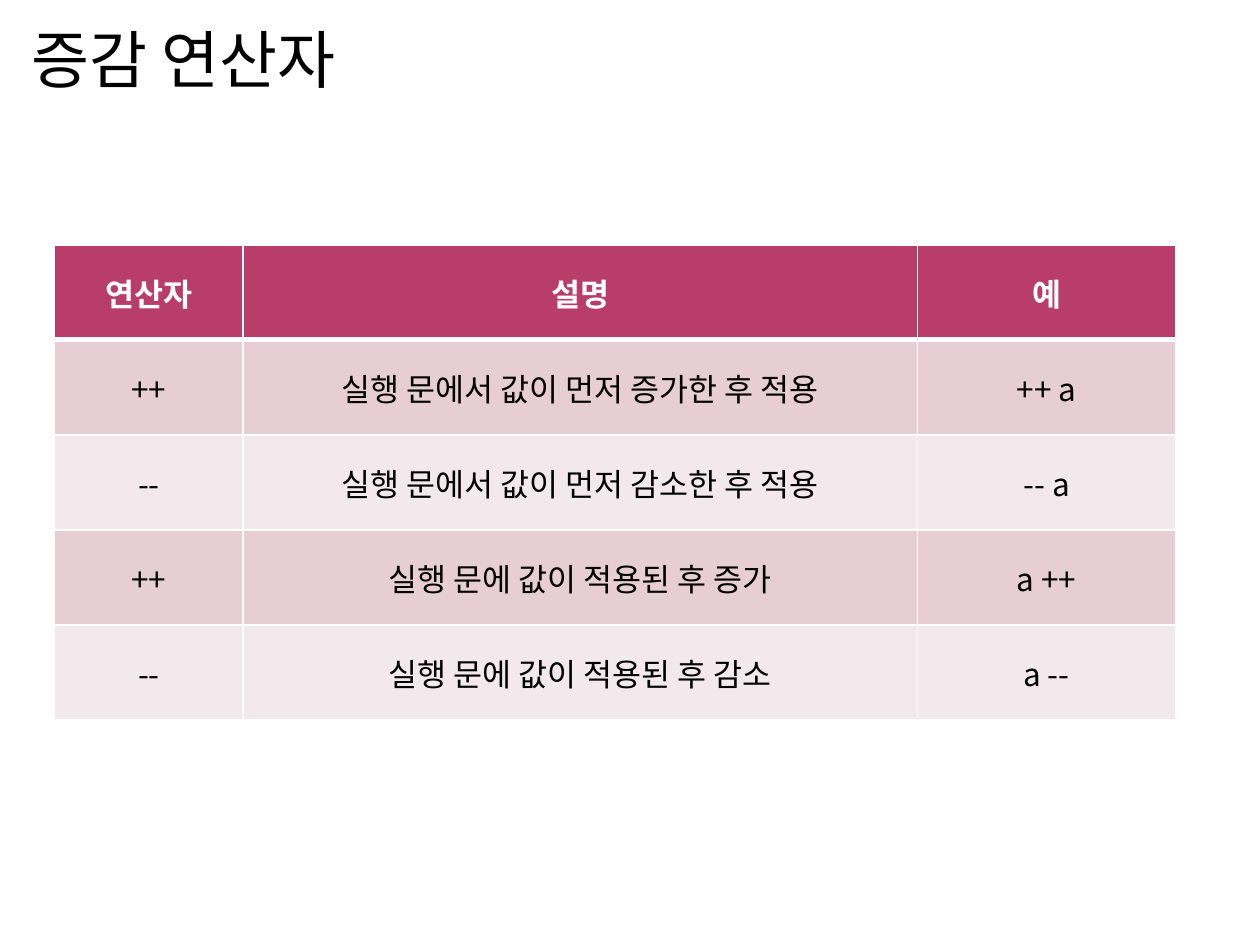
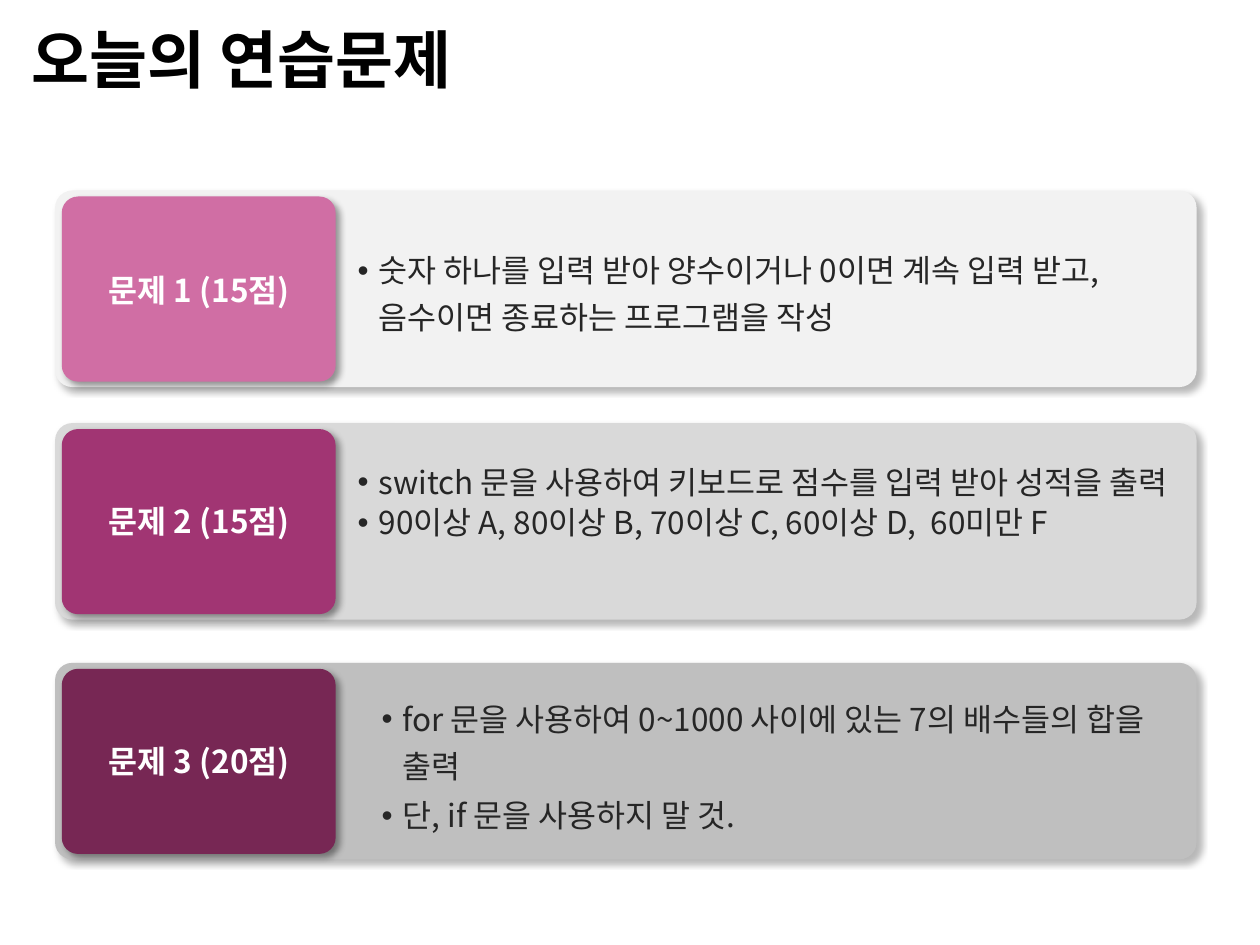
from lxml import etree
from pptx import Presentation
from pptx.dml.color import RGBColor
from pptx.enum.shapes import MSO_SHAPE
from pptx.enum.text import MSO_ANCHOR, MSO_AUTO_SIZE, PP_ALIGN
from pptx.oxml.ns import qn
from pptx.util import Pt

ROUNDED = MSO_SHAPE.ROUNDED_RECTANGLE
MIDDLE = MSO_ANCHOR.MIDDLE
LEFT, CENTER = PP_ALIGN.LEFT, PP_ALIGN.CENTER
NO_FIT, GROW = MSO_AUTO_SIZE.NONE, MSO_AUTO_SIZE.SHAPE_TO_FIT_TEXT
HANGUL, LATIN = "Noto Sans CJK KR", "Cabin"
BLACK, WHITE, INK = "000000", "FFFFFF", "262626"
HEADER_FILL, BAND_FILLS = "B83D68", ("E6CED4", "F3E8EB")

OPERATOR_TITLE = "증감 연산자"
OPERATOR_ROWS = [
    ("연산자", "설명", "예"),
    ("++", "실행 문에서 값이 먼저 증가한 후 적용", "++ a"),
    ("--", "실행 문에서 값이 먼저 감소한 후 적용", "-- a"),
    ("++", "실행 문에 값이 적용된 후 증가", "a ++"),
    ("--", "실행 문에 값이 적용된 후 감소", "a --"),
]
TABLE_LEFT, TABLE_TOP, ROW_HEIGHT = 31.2, 139.9, 54.3
COLUMN_WIDTHS = (107.8, 385.2, 147.6)

EXERCISE_TITLE = "오늘의 연습문제"
# Each task line is its text and its exact line spacing in points.
EXERCISES = [
    dict(top=108.9, card="F2F2F2", tab="D06EA4", label="문제 1 (15점)", label_top=151.2,
         task_box=(197.3, 134.6, 465.8, 58.3),
         tasks=[("숫자 하나를 입력 받아 양수이거나 0이면 계속 입력 받고, "
                 "음수이면 종료하는 프로그램을 작성", 27)]),
    dict(top=241.8, card="D9D9D9", tab="A13573", label="문제 2 (15점)", label_top=283,
         task_box=(197.3, 255.6, 479.5, 85),
         tasks=[("switch 문을 사용하여 키보드로 점수를 입력 받아 성적을 출력", 27),
                ("90이상 A, 80이상 B, 70이상 C, 60이상 D,  60미만 F", 22)]),
    dict(top=378.8, card="BFBFBF", tab="772754", label="문제 3 (20점)", label_top=419.8,
         task_box=(211, 391, 465.8, 90),
         tasks=[("for 문을 사용하여 0~1000 사이에 있는 7의 배수들의 합을 출력", 27),
                ("단, if 문을 사용하지 말 것.", 27)]),
]
CARD_LEFT, CARD_WIDTH, CARD_HEIGHT = 31.5, 652.3, 112.3
TAB_LEFT, TAB_WIDTH, TAB_HEIGHT, TAB_INSET = 35.3, 156.5, 105.8, 3.4
LABEL_LEFT, LABEL_WIDTH, LABEL_HEIGHT = 49, 129.6, 29


def color(value):
    return RGBColor.from_string(value)


def points(*lengths):
    return [Pt(length) for length in lengths]


def add_xml(parent, tag, **attributes):
    return etree.SubElement(parent, qn(tag), attributes)


def add_color(parent, value):
    return add_xml(parent, "a:srgbClr", val=value)


def add_span(para, text, size, ink, font=HANGUL, bold=False):
    span = para.add_run()
    span.text = text
    span.font.name = font
    span.font.size = Pt(size)
    span.font.bold = bold
    span.font.color.rgb = color(ink)
    add_xml(span.font._element, "a:ea", typeface=HANGUL)


def add_page(deck, title, bold=False):
    page = deck.slides.add_slide(deck.slide_layouts[5])
    box = page.shapes.title
    box.left, box.top, box.width, box.height = points(10.8, 8.6, 648, 49.7)
    frame = box.text_frame
    frame.word_wrap, frame.auto_size = True, NO_FIT
    frame.vertical_anchor = MIDDLE
    para = frame.paragraphs[0]
    para.alignment = LEFT
    add_span(para, title, 36, BLACK, LATIN, bold)
    return page


def add_borders(cell, bottom):
    properties = cell._tc.get_or_add_tcPr()
    for side, width in (("L", 1), ("R", 1), ("T", 1), ("B", bottom)):
        line = add_xml(properties, f"a:ln{side}", w=str(Pt(width)))
        add_color(add_xml(line, "a:solidFill"), WHITE)


def add_operator_table(page):
    height = ROW_HEIGHT * len(OPERATOR_ROWS)
    table = page.shapes.add_table(
        len(OPERATOR_ROWS), len(COLUMN_WIDTHS),
        *points(TABLE_LEFT, TABLE_TOP, sum(COLUMN_WIDTHS), height)).table
    for column, width in zip(table.columns, COLUMN_WIDTHS):
        column.width = Pt(width)
    for i, texts in enumerate(OPERATOR_ROWS):
        header = i == 0
        table.rows[i].height = Pt(ROW_HEIGHT)
        for j, text in enumerate(texts):
            cell = table.cell(i, j)
            add_borders(cell, 3 if header else 1)
            cell.fill.solid()
            cell.fill.fore_color.rgb = color(HEADER_FILL if header else BAND_FILLS[(i - 1) % 2])
            cell.vertical_anchor = MIDDLE
            para = cell.text_frame.paragraphs[0]
            para.alignment = CENTER
            font = LATIN if j == 1 and not header else HANGUL
            add_span(para, text, 18, WHITE if header else BLACK, font, header)


def add_panel(page, area, fill, shadow_percent):
    panel = page.shapes.add_shape(ROUNDED, *points(*area))
    panel.adjustments[0] = 0.088
    panel.fill.solid()
    panel.fill.fore_color.rgb = color(fill)
    panel.line.fill.background()
    panel.shadow.inherit = False
    effects = panel._element.spPr.find(qn("a:effectLst"))
    shadow = add_xml(effects, "a:outerShdw", blurRad=str(Pt(4)), dist=str(Pt(3)),
                     dir=str(45 * 60000), algn="tl", rotWithShape="0")
    add_xml(add_color(shadow, BLACK), "a:alpha", val=str(shadow_percent * 1000))


def add_text_box(page, area):
    frame = page.shapes.add_textbox(*points(*area)).text_frame
    frame.word_wrap, frame.auto_size = True, GROW
    return frame


def add_label(page, text, top):
    frame = add_text_box(page, (LABEL_LEFT, top, LABEL_WIDTH, LABEL_HEIGHT))
    frame.margin_left = frame.margin_right = Pt(10)
    para = frame.paragraphs[0]
    para.alignment = CENTER
    para.line_spacing = Pt(22)
    add_span(para, text, 18, WHITE, bold=True)


def add_tasks(page, area, tasks):
    frame = add_text_box(page, area)
    for i, (text, spacing) in enumerate(tasks):
        para = frame.add_paragraph() if i else frame.paragraphs[0]
        para.line_spacing, para.space_before = Pt(spacing), Pt(1)
        properties = para._p.get_or_add_pPr()
        properties.set("marL", str(Pt(12)))
        properties.set("indent", str(Pt(-12)))
        add_xml(properties, "a:buFont", typeface="Arial")
        add_xml(properties, "a:buChar", char="•")
        add_span(para, text, 18, INK)


def add_exercise(page, exercise):
    top = exercise["top"]
    add_panel(page, (CARD_LEFT, top, CARD_WIDTH, CARD_HEIGHT), exercise["card"], 27)
    add_panel(page, (TAB_LEFT, top + TAB_INSET, TAB_WIDTH, TAB_HEIGHT), exercise["tab"], 40)
    add_label(page, exercise["label"], exercise["label_top"])
    add_tasks(page, exercise["task_box"], exercise["tasks"])


def main():
    deck = Presentation()
    deck.slide_width, deck.slide_height = points(720, 540)
    add_operator_table(add_page(deck, OPERATOR_TITLE))
    page = add_page(deck, EXERCISE_TITLE, bold=True)
    for exercise in EXERCISES:
        add_exercise(page, exercise)
    deck.save("out.pptx")


if __name__ == "__main__":
    main()
